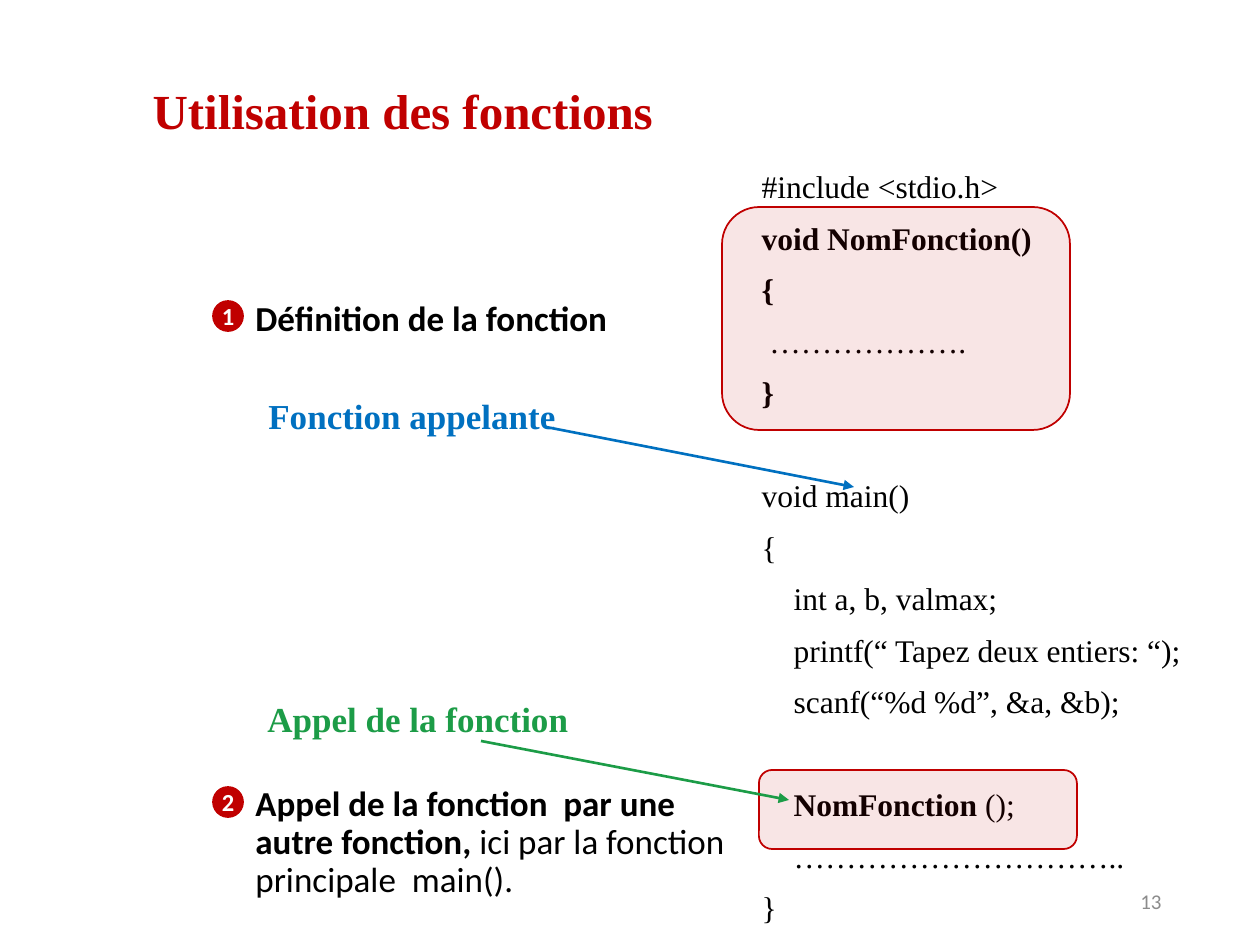
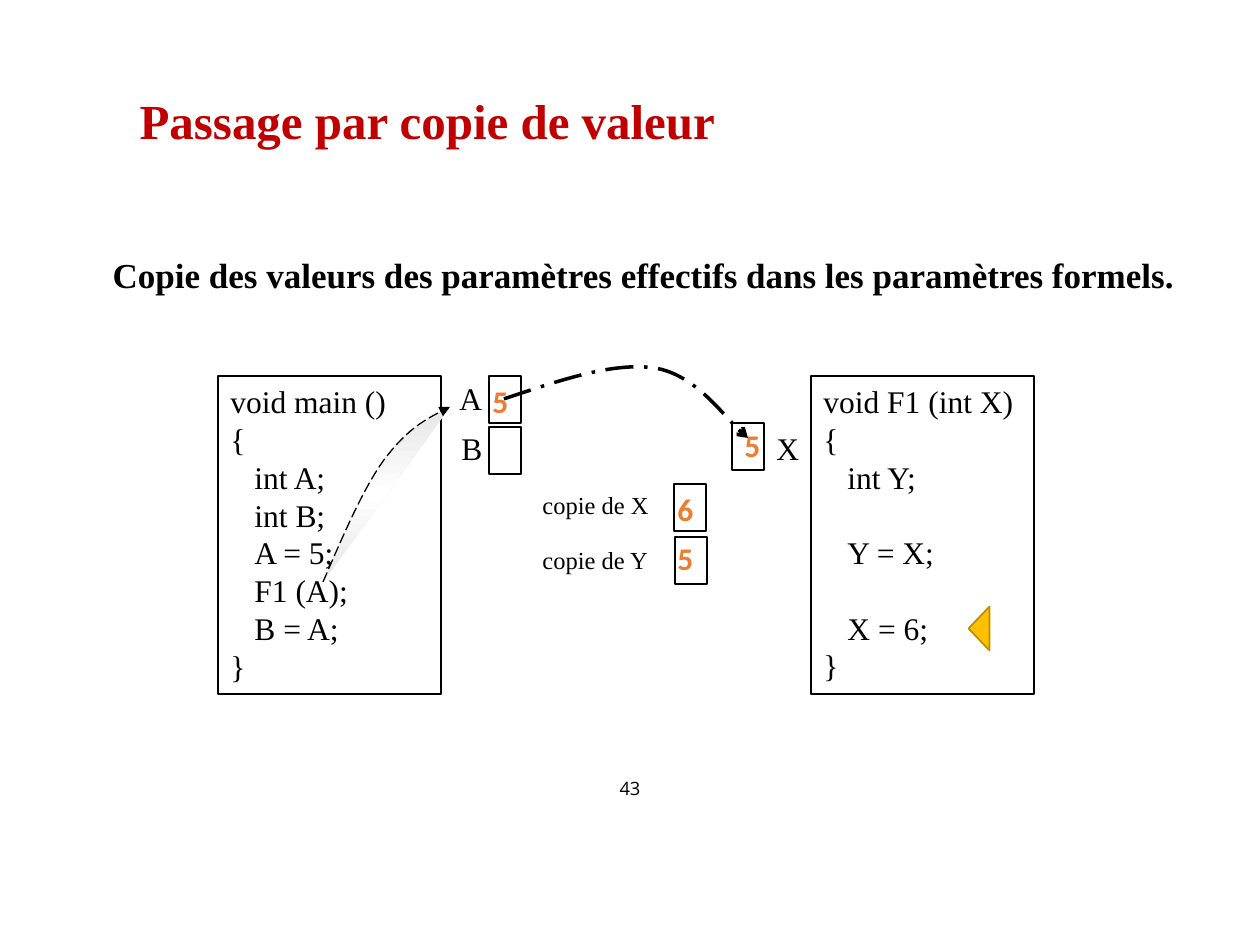
"""Build two slides on C functions: their use, and passing by value."""
from lxml import etree
from pptx import Presentation
from pptx.dml.color import RGBColor
from pptx.enum.dml import MSO_LINE
from pptx.enum.shapes import MSO_CONNECTOR, MSO_SHAPE
from pptx.enum.text import MSO_ANCHOR, MSO_AUTO_SIZE, PP_ALIGN
from pptx.oxml import parse_xml
from pptx.oxml.ns import nsdecls, qn
from pptx.util import Inches, Pt

PX = 914400 / 126
RED = RGBColor(0xC0, 0x00, 0x00)
BLUE = RGBColor(0x00, 0x70, 0xC0)
GREEN = RGBColor(0x1C, 0x9C, 0x47)
ORANGE = RGBColor(0xED, 0x7D, 0x31)
GOLD = RGBColor(0xFF, 0xC0, 0x00)
BROWN = RGBColor(0xBD, 0x8E, 0x00)
GREY = RGBColor(0x8C, 0x8C, 0x8C)
BLACK = RGBColor(0, 0, 0)
WHITE = RGBColor(255, 255, 255)
SERIF, SANS, OPEN = "Times New Roman", "Calibri", "Open Sans"
LEFT, MID, RIGHT = PP_ALIGN.LEFT, PP_ALIGN.CENTER, PP_ALIGN.RIGHT
TOP, HALF = MSO_ANCHOR.TOP, MSO_ANCHOR.MIDDLE
FIXED = MSO_AUTO_SIZE.NONE
RECT, ROUND = MSO_SHAPE.RECTANGLE, MSO_SHAPE.ROUNDED_RECTANGLE
OVAL, WEDGE = MSO_SHAPE.OVAL, MSO_SHAPE.ISOSCELES_TRIANGLE
DASH, DOTS = MSO_LINE.LONG_DASH, MSO_LINE.LONG_DASH_DOT
STRAIGHT = MSO_CONNECTOR.STRAIGHT

USE = [
    (0, 0, [("#include <stdio.h>", False)]),
    (0, 0, [("void NomFonction()", True)]),
    (0, 0, [("{", True)]),
    (0, 0, [(" ……………….", False)]),
    (0, 0, [("}", True)]),
    (0, 1, [("void main()", False)]),
    (0, 0, [("{", False)]),
    (32, 0, [("int a, b, valmax;", False)]),
    (32, 0, [("printf(“ Tapez deux entiers: “);", False)]),
    (32, 0, [("scanf(“%d %d”, &a, &b);", False)]),
    (32, 1, [("NomFonction", True), (" ();", False)]),
    (32, 0, [("…………………………..", False)]),
    (0, 0, [("}", False)]),
]
STEPS = [
    ("1", (213, 301), (243, 295, 496, 69), [("Définition de la fonction", True)]),
    ("2", (213, 787), (243, 780, 496, 139),
     [("Appel de la fonction  par une autre fonction, ", True),
      ("ici par la fonction principale  main().", False)]),
]
FRAMES = [(722, 207, 348, 223), (759, 770, 318, 79)]
CALLS = [
    ("Fonction appelante", BLUE, (256, 393, 318, 69), (546, 427, 854, 487)),
    ("Appel de la fonction", GREEN, (255, 696, 372, 69), (481, 741, 789, 800)),
]
RULE = "Copie des valeurs des paramètres effectifs dans les paramètres formels."
CODES = [
    (218, [(0, 0, "void main ()"), (0, 0, "{"), (24, 0, "int A;"),
           (24, 0, "int B;"), (24, 0, "A = 5;"), (24, 0, "F1 (A);"),
           (24, 0, "B = A;"), (0, 0, "}")]),
    (811, [(0, 0, "void F1 (int X)"), (0, 0, "{"), (24, 0, "int Y;"),
           (24, 1, "Y = X;"), (24, 1, "X = 6;"), (0, 0, "}")]),
]
CELLS = [
    ((489, 376), "A", (447, 373, 42, 50), 18, "5", (480, 376)),
    ((489, 427), "B", (449, 423, 42, 50), 18, "", None),
    ((732, 423), "X", (764, 423, 42, 50), 18, "5", (732, 420)),
    ((674, 484), "copie de X", (530, 484, 135, 43), 14, "6", (665, 484)),
    ((675, 537), "copie de Y", (530, 539, 135, 43), 14, "5", (665, 533)),
]
SEND = [(504, 399), (558, 381), (612, 362), (654, 368),
        (694, 374), (732, 427), (748, 438)]
LINK = [(323, 582), (343, 536), (363, 489), (384, 460),
        (406, 431), (427, 418), (450, 407)]


def place(box):
    return [round(n * PX) for n in box]


def write(frame, lines, size, font, color, align=LEFT, anchor=TOP, loose=False):
    frame.word_wrap, frame.auto_size = True, FIXED
    frame.vertical_anchor = anchor
    lead, above = (0.9, 10) if loose else (1, 0)
    skip = size * 1.197 * lead + above
    for i, (shift, gaps, runs) in enumerate(lines):
        par = frame.paragraphs[0] if i == 0 else frame.add_paragraph()
        par.alignment, par.line_spacing = align, lead
        par.space_before = Pt(round(above + gaps * skip, 1))
        prop = par._p.get_or_add_pPr()
        prop.set("marL", str(round(shift * PX)))
        prop.set("indent", "0")
        etree.SubElement(prop, qn("a:buNone"))
        for text, bold in runs:
            run = par.add_run()
            run.text = text
            run.font.size, run.font.name = Pt(size), font
            run.font.bold, run.font.color.rgb = bold, color


def label(slide, box, text, size, font, color, bold=False, **rest):
    runs = text if isinstance(text, list) else [(text, bold)]
    frame = slide.shapes.add_textbox(*place(box)).text_frame
    write(frame, [(0, 0, runs)], size, font, color, **rest)


def paint(shape, fill, line, width):
    shape.shadow.inherit = False
    if fill is None:
        shape.fill.background()
    else:
        shape.fill.solid()
        shape.fill.fore_color.rgb = fill
    shape.line.color.rgb, shape.line.width = line, Pt(width)
    return shape


def draw(slide, kind, box, fill=None, line=BLACK, width=0.75):
    return paint(slide.shapes.add_shape(kind, *place(box)), fill, line, width)


def point(shape, head):
    etree.SubElement(shape.line._get_or_add_ln(), qn("a:tailEnd"), type=head)


def curve(slide, dots, width, dash, head):
    pen = slide.shapes.build_freeform(*dots[0], scale=PX)
    pen.add_line_segments(dots[1:], close=False)
    shape = paint(pen.convert_to_shape(), None, BLACK, width)
    legs = list(shape._element.iter(qn("a:lnTo")))
    for trio in zip(legs[::3], legs[1::3], legs[2::3]):
        bend = etree.Element(qn("a:cubicBezTo"))
        trio[0].addprevious(bend)
        for leg in trio:
            bend.append(leg[0])
            leg.getparent().remove(leg)
    shape.line.dash_style = dash
    point(shape, head)
    return shape


def start(deck, title, head, body, lines, size):
    slide = deck.slides.add_slide(deck.slide_layouts[1])
    top, main = slide.shapes.title, slide.placeholders[1]
    for shape, box in ((top, head), (main, body)):
        shape.left, shape.top, shape.width, shape.height = place(box)
    write(top.text_frame, [(0, 0, [(title, True)])], 28, SERIF, RED)
    write(main.text_frame, lines, size, SERIF, BLACK, loose=True)
    return slide


def show_use(deck):
    slide = start(deck, "Utilisation des fonctions", (140, 74, 805, 131),
                  (749, 165, 496, 804), USE, 18)
    for box in FRAMES:
        shape = draw(slide, ROUND, box, RED, RED, 1)
        tint = shape._element.spPr.find(qn("a:solidFill"))[0]
        etree.SubElement(tint, qn("a:alpha"), val="10000")
    for mark, spot, box, runs in STEPS:
        label(slide, box, runs, 20, SANS, BLACK, loose=True)
        frame = draw(slide, OVAL, (*spot, 30, 30), RED, RED, 1).text_frame
        frame.margin_left = frame.margin_right = 0
        frame.margin_top = frame.margin_bottom = 0
        write(frame, [(0, 0, [(mark, True)])], 14, SANS, WHITE, MID, HALF)
    for text, color, box, ends in CALLS:
        label(slide, box, text, 20, SERIF, color, True, loose=True)
        arrow = slide.shapes.add_connector(STRAIGHT, *place(ends))
        arrow.line.color.rgb, arrow.line.width = color, Pt(1.5)
        point(arrow, "triangle")
        etree.SubElement(arrow._element.spPr, qn("a:effectLst"))
    label(slide, (890, 876, 284, 50), "13", 12, SANS, GREY, align=RIGHT, anchor=HALF)


def show_copy(deck):
    slide = start(deck, "Passage par copie de valeur", (127, 84, 1071, 72),
                  (100, 252, 1101, 66), [(0, 0, [(RULE, True)])], 20)
    for left, code in CODES:
        frame = draw(slide, RECT, (left, 376, 223, 318)).text_frame
        lines = [(shift, gaps, [(text, False)]) for shift, gaps, text in code]
        write(frame, lines, 18, SERIF, BLACK)
    for spot, name, box, size, value, corner in CELLS:
        draw(slide, RECT, (*spot, 32, 47))
        label(slide, box, name, size, SERIF, BLACK)
        if value:
            label(slide, (*corner, 50, 50), value, 18, SANS, ORANGE, True)
    curve(slide, SEND, 2, DOTS, "arrow")
    link = curve(slide, LINK, 0.75, DASH, "triangle")
    stops = "".join(f'<a:gs pos="{at}"><a:srgbClr val="{tone}"/></a:gs>' for at, tone in
                    ((0, "E7E6E6"), (50000, "FFFFFF"), (100000, "E7E6E6")))
    blend = parse_xml(f'<a:gradFill {nsdecls("a")}><a:gsLst>{stops}</a:gsLst>'
                      '<a:lin ang="5400000" scaled="0"/></a:gradFill>')
    blank = link._element.spPr.find(qn("a:noFill"))
    blank.getparent().replace(blank, blend)
    draw(slide, WEDGE, (957, 618, 44, 21), GOLD, BROWN, 1).rotation = 270
    label(slide, (480, 764, 300, 48), "43", 10.5, OPEN, BLACK, align=MID, anchor=HALF)


deck = Presentation()
deck.slide_width, deck.slide_height = Inches(10), Inches(7.5)
show_use(deck)
show_copy(deck)
deck.save("out.pptx")
